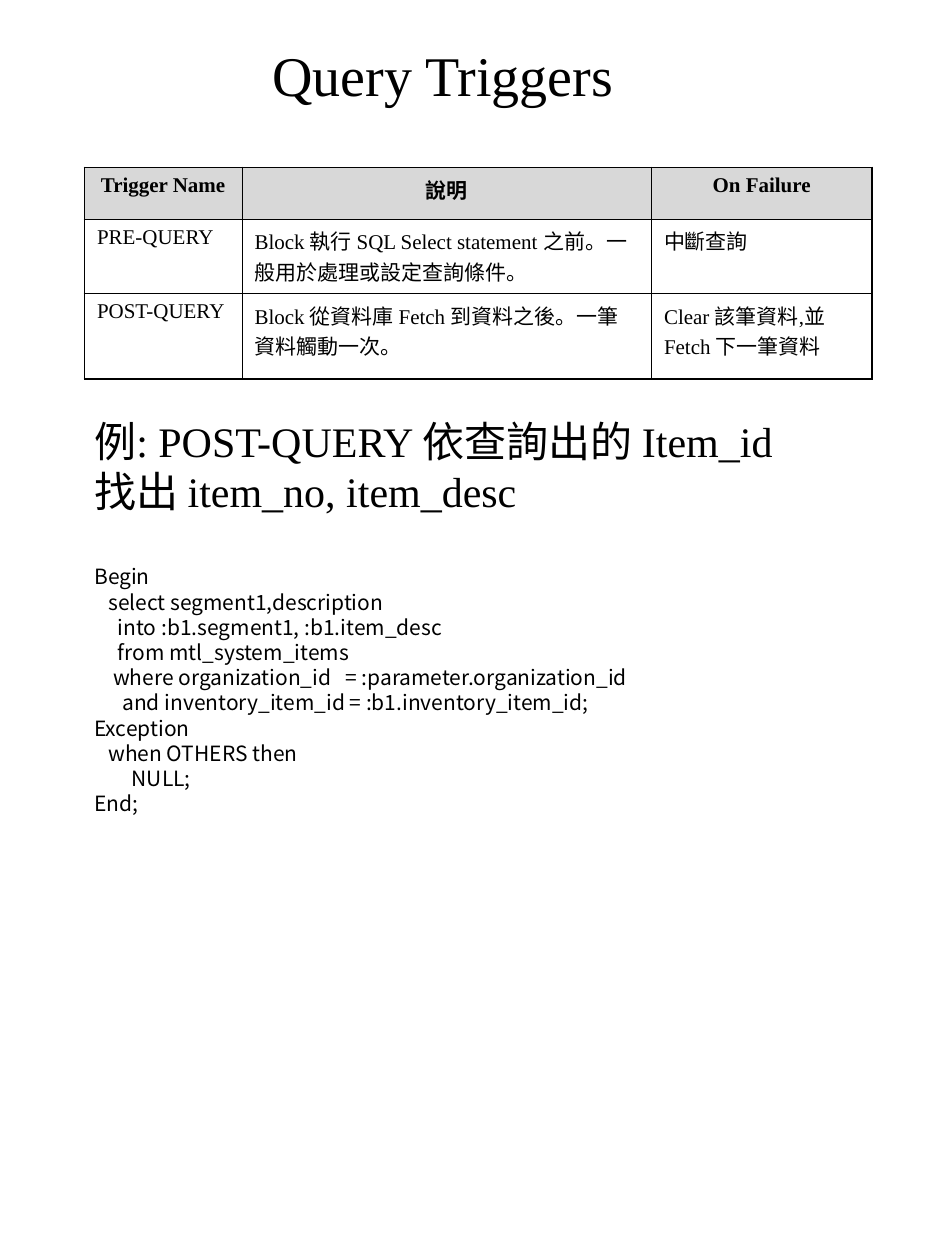
"""Build the Query Triggers slide with a trigger table and a code example."""
import pptx
import pptx.dml.color
import pptx.enum.text
import pptx.oxml
import pptx.oxml.ns
import pptx.util

Pt = pptx.util.Pt
ALIGN = pptx.enum.text.PP_ALIGN
ANCHOR = pptx.enum.text.MSO_ANCHOR
THEME = {
    "ink": "000000", "header": "B2B2B2", "header_alpha": 50000,
    "serif": "Times New Roman", "sans": "Noto Sans CJK TC",
    "title": 32, "heading": 24, "body": 12,
    "outer_line": 1.08, "inner_line": 0.45,
}
NAMESPACE = pptx.oxml.ns.nsdecls("a")

presentation = pptx.Presentation()
presentation.slide_width = pptx.util.Inches(7.5)
presentation.slide_height = pptx.util.Inches(10)
slide = presentation.slides.add_slide(presentation.slide_layouts[6])
unit = presentation.slide_width / 30


def grid(*cells):
    return [round(cell * unit) for cell in cells]


def write(paragraph, text, size, face="serif", bold=False, **formats):
    for name, value in formats.items():
        setattr(paragraph, name, value)
    run = paragraph.add_run()
    run.text = text
    for name, value in {"size": Pt(THEME[size]), "name": THEME[face], "bold": bold}.items():
        setattr(run.font, name, value)
    run.font.color.rgb = pptx.dml.color.RGBColor.from_string(THEME["ink"])
    run.font._element.append(pptx.oxml.parse_xml(
        f'<a:ea {NAMESPACE} typeface="{THEME["sans"]}"/>'))


title = slide.shapes.add_textbox(*grid(1.32, 1, 25.48, 2.68)).text_frame
title.word_wrap = True
title.vertical_anchor = ANCHOR.MIDDLE
write(title.paragraphs[0], "Query Triggers", "title", alignment=ALIGN.CENTER)

columns, rows = [5, 13, 7], [1.64, 2.36, 2.72]
trigger_rows = [
    [["Trigger Name"], ["說明"], ["On Failure"]],
    [["PRE-QUERY"],
     ["Block 執行 SQL Select statement 之前", "。一般用於處理或設定查詢條件。"],
     ["中斷查詢"]],
    [["POST-QUERY"],
     ["Block 從資料庫 Fetch 到資料之後", "。一筆資料觸動一次。"],
     ["Clear 該筆資料,並 Fetch 下一筆資料"]],
]
table = slide.shapes.add_table(
    len(rows), len(columns), *grid(2.68, 5.32, sum(columns), sum(rows))).table
table.first_row = table.horz_banding = False
for column, width in zip(table.columns, grid(*columns)):
    column.width = width
for row, height in zip(table.rows, grid(*rows)):
    row.height = height

for row_index, trigger_row in enumerate(trigger_rows):
    for column_index, texts in enumerate(trigger_row):
        cell = table.cell(row_index, column_index)
        is_header = row_index == 0
        for text, face in zip(texts, ["serif", "sans"]):
            write(cell.text_frame.paragraphs[0], text, "body", face, is_header,
                  alignment=ALIGN.CENTER if is_header else ALIGN.LEFT,
                  space_before=Pt(3))
        properties = cell._tc.get_or_add_tcPr()
        if is_header:
            cell.fill.solid()
            cell.fill.fore_color.rgb = pptx.dml.color.RGBColor.from_string(THEME["header"])
            properties.find(".//" + pptx.oxml.ns.qn("a:srgbClr")).append(
                pptx.oxml.parse_xml(
                    f'<a:alpha {NAMESPACE} val="{THEME["header_alpha"]}"/>'))
        else:
            cell.fill.background()
        outer_sides = {
            "lnL": column_index == 0, "lnR": column_index == len(columns) - 1,
            "lnT": row_index == 0, "lnB": row_index == len(rows) - 1,
        }
        for position, (side, is_outer) in enumerate(outer_sides.items()):
            line_width = Pt(THEME["outer_line" if is_outer else "inner_line"])
            properties.insert(position, pptx.oxml.parse_xml(
                f'<a:{side} {NAMESPACE} w="{line_width}"><a:solidFill>'
                f'<a:srgbClr val="{THEME["ink"]}"/></a:solidFill></a:{side}>'))

example_lines = [
    "例: POST-QUERY 依查詢出的 Item_id",
    "找出 item_no, item_desc",
]
code_lines = [
    "Begin",
    "   select segment1,description",
    "     into :b1.segment1, :b1.item_desc",
    "     from mtl_system_items",
    "    where organization_id   = :parameter.organization_id",
    "      and inventory_item_id = :b1.inventory_item_id;",
    "Exception",
    "   when OTHERS then",
    "        NULL;",
    "End;",
]
example = slide.shapes.add_textbox(*grid(2.6, 12.84, 22.92, 15.6)).text_frame
example.word_wrap = True
example.margin_top = pptx.util.Inches(0.09)
for index, text in enumerate(example_lines + code_lines):
    paragraph = example.add_paragraph() if index else example.paragraphs[0]
    if index < len(example_lines):
        write(paragraph, text, "heading", line_spacing=Pt(28.6))
    else:
        write(paragraph, text, "body", "sans", line_spacing=Pt(14.4),
              space_before=Pt(27.5 if index == len(example_lines) else 0))

presentation.save("out.pptx")
